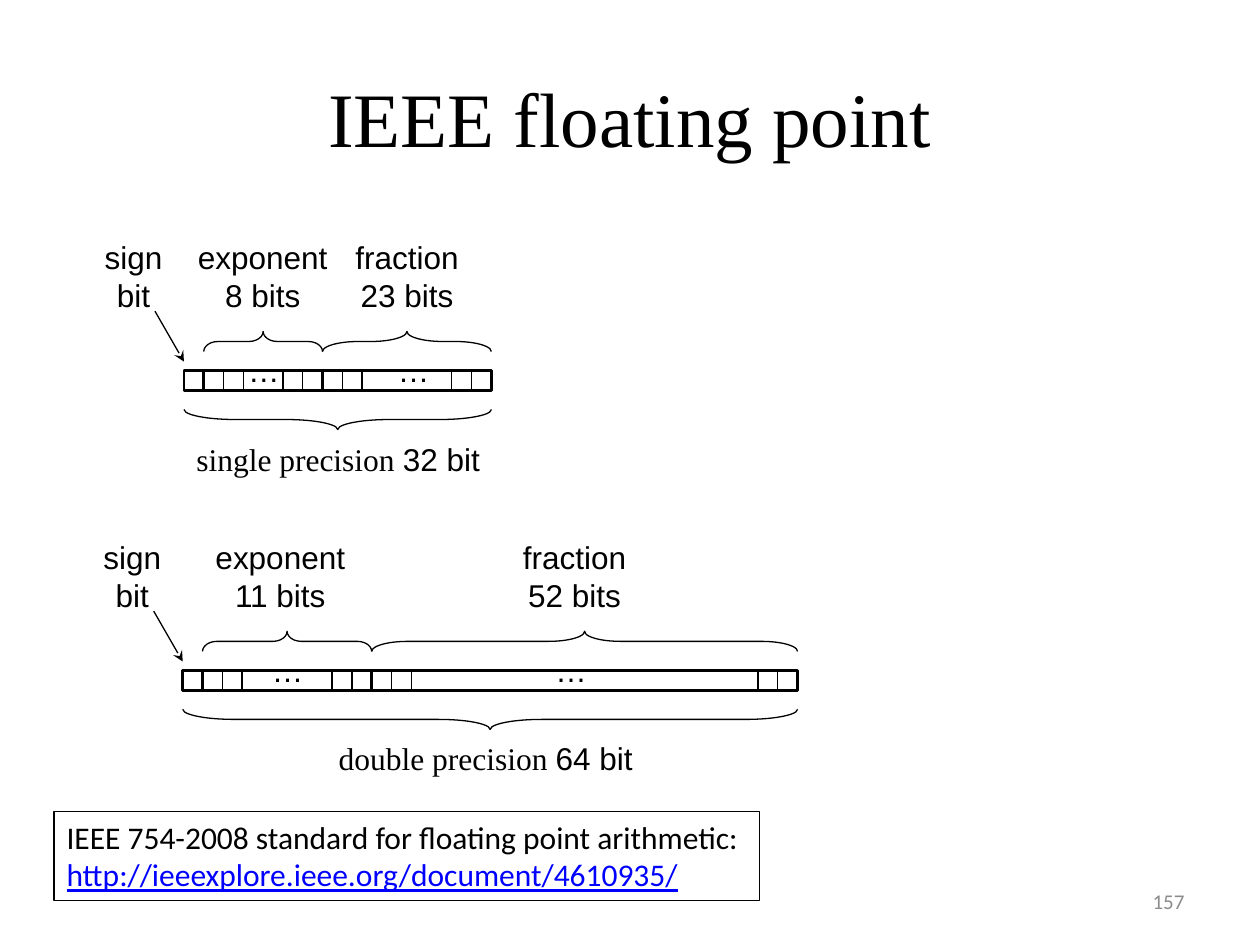
from lxml import etree
from pptx import Presentation, util as u
from pptx.dml.color import RGBColor
from pptx.enum import shapes, text
from pptx.oxml.ns import qn

BLACK = RGBColor(0x00, 0x00, 0x00)
WHITE = RGBColor(0xFF, 0xFF, 0xFF)
GREY = RGBColor(0x8C, 0x8C, 0x8C)
BLUE = RGBColor(0x00, 0x00, 0xFF)
SERIF, SANS, BODY = "Times New Roman", "Arial", "Calibri"
COLS, ROWS = 100, 75
CELL, BAR = 1.57, 1.6
THIN, THICK = 0.75, 1.5
LEFT, CENTER, RIGHT = text.PP_ALIGN.LEFT, text.PP_ALIGN.CENTER, text.PP_ALIGN.RIGHT


class Deck:
    def __init__(self):
        self.prs = Presentation()
        self.prs.slide_width, self.prs.slide_height = u.Inches(10), u.Inches(7.5)
        self.s = self.prs.slides.add_slide(self.prs.slide_layouts[5])

    def x(self, cols):
        return u.Emu(round(self.prs.slide_width * cols / COLS))

    def y(self, rows):
        return u.Emu(round(self.prs.slide_height * rows / ROWS))

    def box(self, x, y, w, h):
        return self.x(x), self.y(y), self.x(w), self.y(h)

    def style(self, obj, **fmt):
        for name, value in fmt.items():
            setattr(obj, name, value)

    def fill_text(self, sp, lines, align=CENTER, wrap=False, anchor=text.MSO_ANCHOR.TOP):
        tf = sp.text_frame
        fit = text.MSO_AUTO_SIZE.NONE if wrap else text.MSO_AUTO_SIZE.SHAPE_TO_FIT_TEXT
        self.style(tf, word_wrap=wrap, auto_size=fit, vertical_anchor=anchor)
        for i, runs in enumerate(lines):
            p = tf.add_paragraph() if i else tf.paragraphs[0]
            p.alignment = align
            for words, fmt in runs:
                if words == "\n":
                    p.add_line_break()
                    continue
                r = p.add_run()
                r.text = words
                fmt = {"name": SANS, "size": 18, "color": BLACK, **fmt}
                r.font.color.rgb = fmt.pop("color")
                fmt["size"] = u.Pt(fmt["size"])
                self.style(r.font, **fmt)

    def title(self, words):
        sp = self.s.shapes.title
        self.style(sp, **dict(zip(("left", "top", "width", "height"), self.box(5, 3, 90, 12.5))))
        self.fill_text(sp, [[(words, {"name": SERIF, "size": 44})]], wrap=True,
                       anchor=text.MSO_ANCHOR.MIDDLE)

    def label(self, x, y, w, h, lines, **layout):
        self.fill_text(self.s.shapes.add_textbox(*self.box(x, y, w, h)), lines, **layout)

    def shape(self, kind, x, y, w, h, fill=None, weight=THIN):
        sp = self.s.shapes.add_shape(kind, *self.box(x, y, w, h))
        sp.shadow.inherit = False
        if fill is None:
            sp.fill.background()
        else:
            sp.fill.solid()
            sp.fill.fore_color.rgb = fill
        sp.line.color.rgb = BLACK
        sp.line.width = u.Pt(weight)
        return sp

    def line(self, x1, y1, x2, y2, weight=THIN, arrow=False):
        c = self.s.shapes.add_connector(shapes.MSO_CONNECTOR.STRAIGHT,
                                        self.x(x1), self.y(y1), self.x(x2), self.y(y2))
        c.line.color.rgb = BLACK
        c.line.width = u.Pt(weight)
        props = c.element.spPr
        if arrow:
            etree.SubElement(props.find(qn("a:ln")), qn("a:tailEnd"), type="stealth")
        etree.SubElement(props, qn("a:effectLst"))

    def brace(self, x, y, w, curl, up=True):
        sp = self.shape(shapes.MSO_SHAPE.RIGHT_BRACE,
                        x + (w - BAR) / 2, y - (w - BAR) / 2, BAR, w)
        sp.rotation = 270 if up else 90
        sp.adjustments[0] = curl

    def layout(self, x, y, w, exponent, fields, dots, caption):
        split = x + exponent
        self.shape(shapes.MSO_SHAPE.RECTANGLE, x, y, w, BAR, WHITE, THICK)
        ticks = [x + CELL * n for n in (1, 2, 3)]
        ticks += [split + CELL * n for n in (-2, -1, 0, 1, 2)]
        ticks += [x + w - CELL * n for n in (2, 1)]
        for tick in ticks:
            thick = tick in (x + CELL, split)
            self.line(tick, y, tick, y + BAR, THICK if thick else THIN)
        for mid in dots:
            self.label(mid - 2.25, y - 2, 4.5, 4, [[("…", {})]], align=LEFT)
        for mid, width, *lines in fields:
            self.label(mid - width / 2, y - 11, width, 7, [[(t, {})] for t in lines])
        self.line(x - 2.3, y - 4.7, x, y - 0.7, arrow=True)
        self.brace(x + CELL, y - 3.1, exponent - CELL, 0.71)
        self.brace(split, y - 3.1, w - exponent, 1.79)
        self.brace(x, y + 3.1, w, 2.58, up=False)
        left, width, name, size = caption
        self.label(left, y + 5, width, 4,
                   [[(name + " ", {"name": SERIF}), (size, {})]], align=LEFT)

    def reference(self, x, y, w, h, words, address):
        sp = self.shape(shapes.MSO_SHAPE.RECTANGLE, x, y, w, h)
        self.fill_text(sp, [[(words, {"name": BODY}), ("\n", {}),
                             (address, {"name": BODY, "color": BLUE, "underline": True})]],
                       align=LEFT)


def main():
    d = Deck()
    d.title("IEEE floating point")
    d.layout(14.6, 29.4, 24.4, 11,
             [(10.6, 6.6, "sign", "bit"), (20.85, 12.3, "exponent", "8 bits"),
              (32.3, 10.2, "fraction", "23 bits")],
             (20.95, 32.85), (14.6, 24.8, "single precision", "32 bit"))
    d.layout(14.5, 53.2, 48.8, 15,
             [(10.5, 6.6, "sign", "bit"), (22.25, 12.3, "exponent", "11 bits"),
              (45.6, 10.2, "fraction", "52 bits")],
             (22.85, 45.35), (25.9, 25.7, "double precision", "64 bit"))
    d.reference(4.3, 64.4, 56, 7.1, "IEEE 754-2008 standard for floating point arithmetic:",
                "http://ieeexplore.ieee.org/document/4610935/")
    d.label(71.7, 69.5, 23.3, 4, [[("157", {"name": BODY, "size": 12, "color": GREY})]],
            align=RIGHT, wrap=True, anchor=text.MSO_ANCHOR.MIDDLE)
    d.prs.save("out.pptx")


if __name__ == "__main__":
    main()
